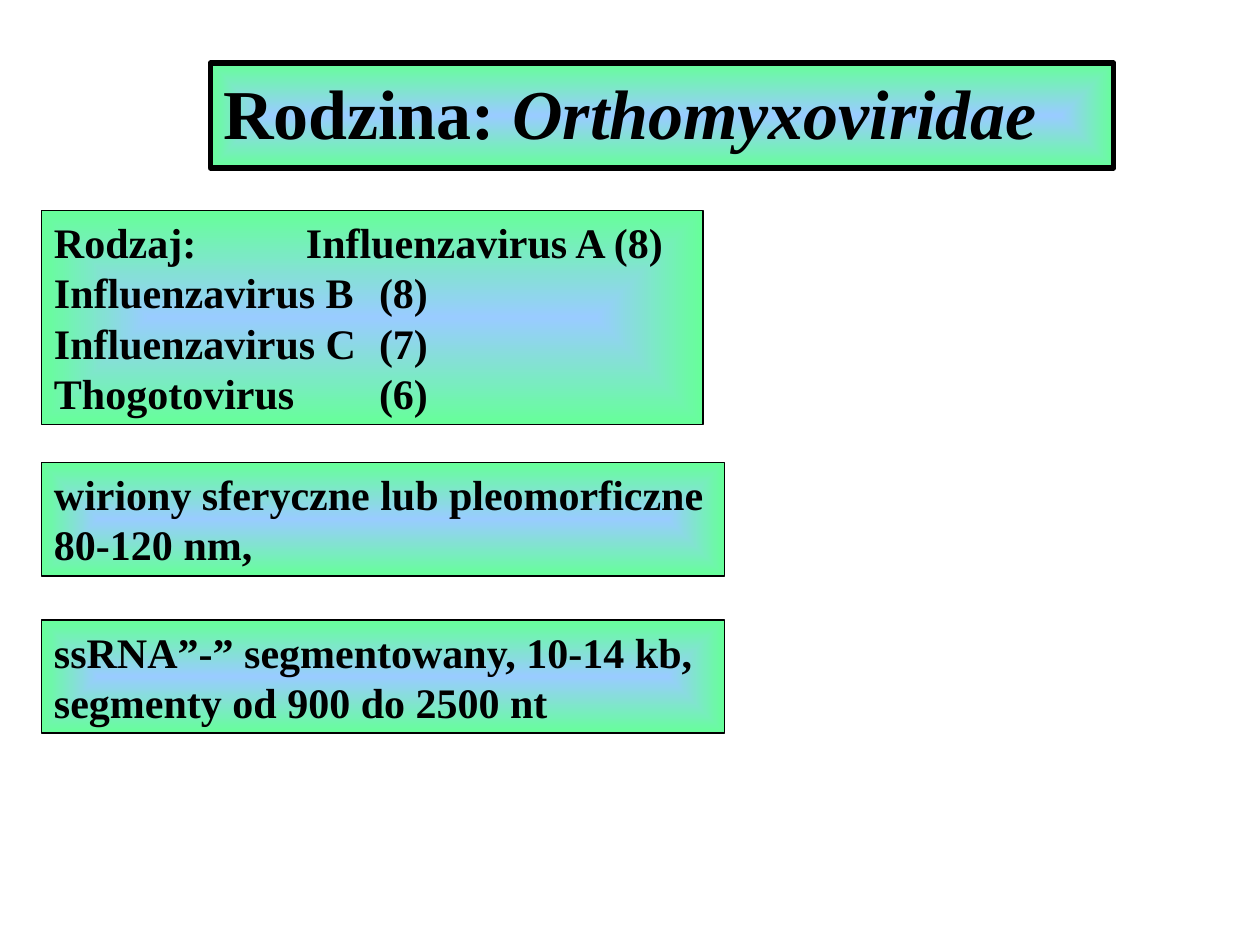
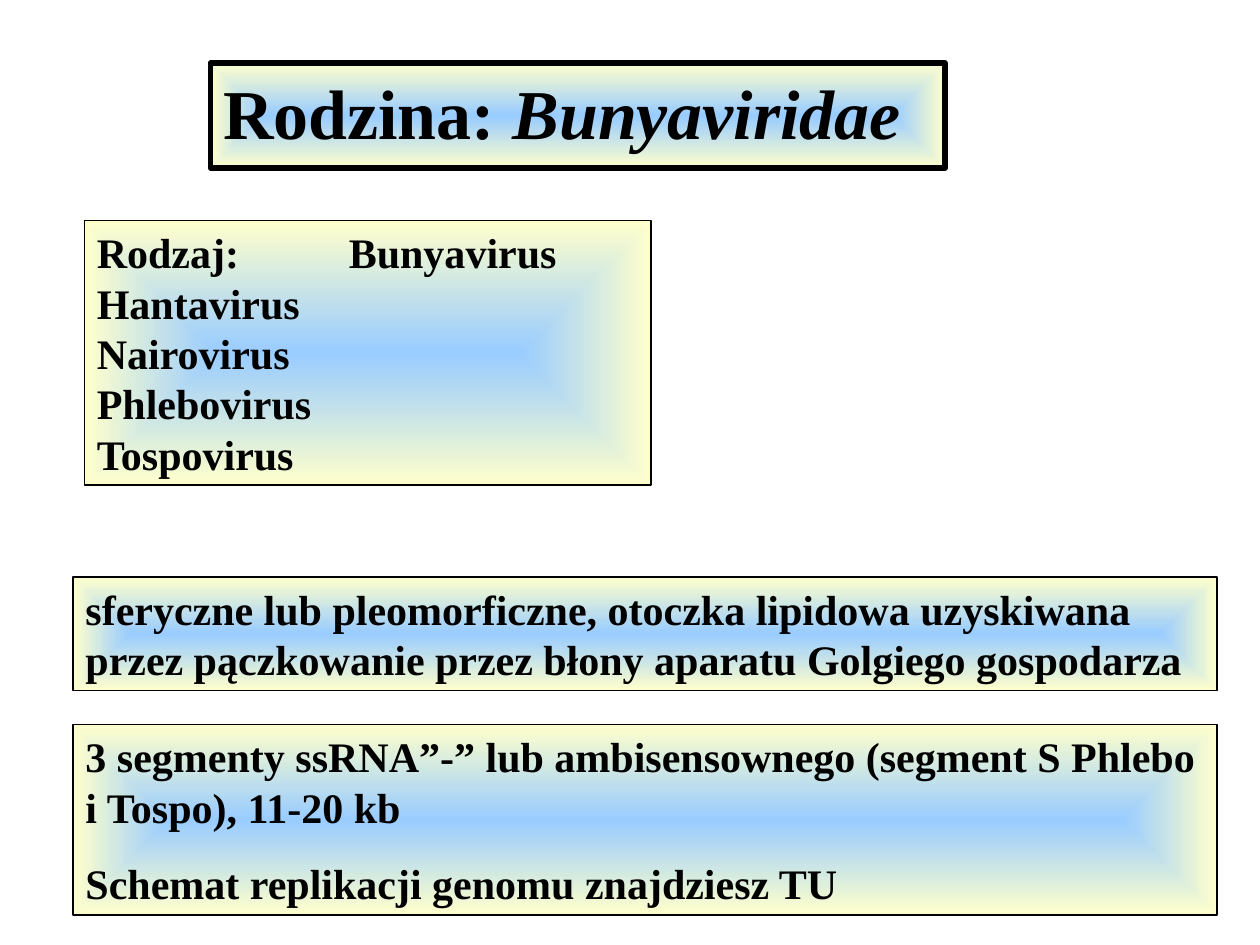
from dataclasses import dataclass

from lxml import etree
from pptx import Presentation
from pptx.dml.color import RGBColor
from pptx.enum import shapes, text
from pptx.oxml.ns import qn
from pptx.util import Inches, Pt


@dataclass(frozen=True)
class Theme:
    font: str = "Times New Roman"
    ink: RGBColor = RGBColor(0x00, 0x00, 0x00)
    glow: RGBColor = RGBColor(0x99, 0xCC, 0xFF)
    green: RGBColor = RGBColor(0x66, 0xFF, 0x99)
    cream: RGBColor = RGBColor(0xFF, 0xFF, 0xCC)
    title_size: int = 40
    body_size: int = 24
    line_factor: float = 1.2
    paragraph_gap: int = 15


theme = Theme()
GENUS_TAB = 2.0     # first genus, beside the "Rodzaj:" label
SEGMENT_TAB = 2.58  # segment counts below it


def style_panel(shape, edge_color, line_width):
    """Give a shape the glowing rectangular gradient, black outline and text insets."""
    shape.fill.gradient()
    for stop, color in zip(shape.fill.gradient_stops, (theme.glow, edge_color)):
        stop.color.rgb = color
    gradient = shape._element.spPr.find(qn("a:gradFill"))
    gradient.remove(gradient.find(qn("a:lin")))
    gradient_shape = etree.SubElement(gradient, qn("a:path"), {"path": "rect"})
    etree.SubElement(gradient_shape, qn("a:fillToRect"),
                     {side: "50000" for side in "ltrb"})
    shape.line.color.rgb = theme.ink
    shape.line.width = Pt(line_width)

    frame = shape.text_frame
    frame.word_wrap = True
    frame.auto_size = text.MSO_AUTO_SIZE.SHAPE_TO_FIT_TEXT
    frame.vertical_anchor = text.MSO_ANCHOR.TOP
    frame.margin_left = frame.margin_right = Inches(0.1)
    frame.margin_top = frame.margin_bottom = Inches(0.05)


def style_paragraph(paragraph, size, space_before=0, tab=None):
    paragraph.alignment = text.PP_ALIGN.LEFT
    paragraph.line_spacing = Pt(size * theme.line_factor)
    paragraph.space_before = Pt(space_before)
    if tab:
        tabs = etree.SubElement(paragraph._p.get_or_add_pPr(), qn("a:tabLst"))
        etree.SubElement(tabs, qn("a:tab"), {"pos": str(Inches(tab)), "algn": "l"})
    for run in paragraph.runs:
        run.font.name = theme.font
        run.font.size = Pt(size)
        run.font.bold = True
        run.font.color.rgb = theme.ink


# Each panel: left, top, width, height, then paragraphs of (text, space before, tab).
gap = theme.paragraph_gap
families = [
    {
        "name": "Orthomyxoviridae", "title_width": 7.17, "edge": theme.green,
        "panels": [
            (0.33, 1.67, 5.25, 1.7, [
                ("Rodzaj:\tInfluenzavirus A (8)", 0, GENUS_TAB),
                ("Influenzavirus B\t(8)", 0, SEGMENT_TAB),
                ("Influenzavirus C\t(7)", 0, SEGMENT_TAB),
                ("Thogotovirus\t(6)", 0, SEGMENT_TAB),
            ]),
            (0.33, 3.67, 5.42, 0.9, [
                ("wiriony sferyczne lub pleomorficzne 80-120 nm,", 0, None),
            ]),
            (0.33, 4.92, 5.42, 0.9, [
                ("ssRNA”-” segmentowany, 10-14 kb, segmenty od 900 do 2500 nt", 0, None),
            ]),
        ],
    },
    {
        "name": "Bunyaviridae", "title_width": 5.83, "edge": theme.cream,
        "panels": [
            (0.67, 1.75, 4.5, 2.1, [
                ("Rodzaj:\tBunyavirus", 0, GENUS_TAB),
                ("Hantavirus", 0, None),
                ("Nairovirus", 0, None),
                ("Phlebovirus", 0, None),
                ("Tospovirus", 0, None),
            ]),
            (0.58, 4.58, 9.08, 0.9, [
                ("sferyczne lub pleomorficzne, otoczka lipidowa uzyskiwana "
                 "przez pączkowanie przez błony aparatu Golgiego gospodarza", 0, None),
            ]),
            (0.58, 5.75, 9.08, 1.51, [
                ("3 segmenty ssRNA”-” lub ambisensownego (segment S Phlebo "
                 "i Tospo), 11-20 kb", 0, None),
                ("Schemat replikacji genomu znajdziesz TU", gap, None),
            ]),
        ],
    },
]

presentation = Presentation()
presentation.slide_width = Inches(10)
presentation.slide_height = Inches(7.5)
title_only = presentation.slide_layouts[5]

for family in families:
    slide = presentation.slides.add_slide(title_only)

    title = slide.shapes.title
    title.left, title.top = Inches(1.67), Inches(0.5)
    title.width, title.height = Inches(family["title_width"]), Inches(0.77)
    style_panel(title, family["edge"], line_width=3)
    heading = title.text_frame.paragraphs[0]
    heading.text = "Rodzina: "
    family_name = heading.add_run()
    family_name.text = family["name"]
    family_name.font.italic = True
    style_paragraph(heading, theme.title_size)

    for left, top, width, height, lines in family["panels"]:
        panel = slide.shapes.add_shape(
            shapes.MSO_SHAPE.RECTANGLE,
            Inches(left), Inches(top), Inches(width), Inches(height))
        panel.shadow.inherit = False
        style_panel(panel, family["edge"], line_width=1)
        panel.text_frame.text = "\n".join(line for line, _, _ in lines)
        for paragraph, (_, space_before, tab) in zip(panel.text_frame.paragraphs, lines):
            style_paragraph(paragraph, theme.body_size, space_before, tab)

presentation.save("out.pptx")
